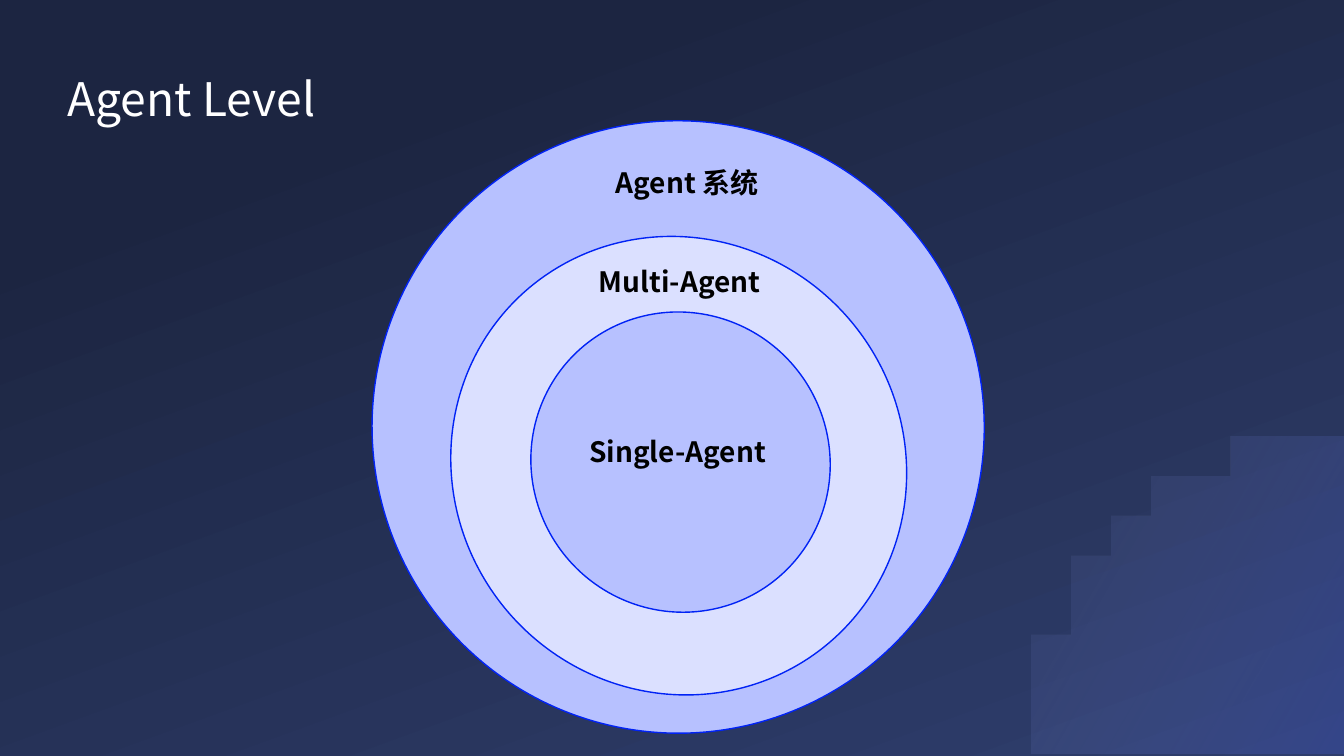
"""Build the Agent Level slide: three nested circles on a dark gradient."""
import math

from lxml import etree
from pptx import Presentation
from pptx import util as u
from pptx.dml.color import RGBColor
from pptx.enum import shapes, text
from pptx.oxml.ns import qn

FONT = "Noto Sans CJK SC"
WHITE = RGBColor(0xFF, 0xFF, 0xFF)
BLACK = RGBColor(0, 0, 0)
NAVY = RGBColor(0x1C, 0x25, 0x41)
SLATE = RGBColor(0x2F, 0x3E, 0x6D)
LILAC = RGBColor(0xB7, 0xC1, 0xFF)
PALE = RGBColor(0xDB, 0xE0, 0xFF)
INDIGO = RGBColor(0x4A, 0x63, 0xFE)
BLUE = RGBColor(0x01, 0x23, 0xF5)

WIDTH, HEIGHT = 33.87, 19.05
TITLE = ("Agent Level", (1.7, 1.47, 30.48, 1.7))
RINGS = [
    ((9.37, 3.05, 15.44, 15.42), LILAC),
    ((11.25, 6.07, 11.71, 11.33), PALE),
    ((13.34, 7.9, 7.62, 7.49), LILAC),
]
LABELS = [
    ("Agent 系统", (12.83, 4.04, 8.97, 1.88), False),
    ("Multi-Agent", (8.66, 6.53, 16.94, 1.12), True),
    ("Single-Agent", (8.61, 10.82, 16.94, 1.12), True),
]
GLOW = (32.87, 17.68, 6.58, 6.5)
GLOW_STEPS = 90


def cm(box):
    return [u.Cm(v) for v in box]


def fill_gradient(sp, angle, stops):
    sp.shadow.inherit = False
    sp.line.fill.background()
    sp.fill.gradient()
    sp.fill.gradient_angle = angle
    for stop, (position, color, opacity) in zip(sp.fill.gradient_stops, stops):
        stop.position = position
        stop.color.rgb = color
    if any(opacity < 100 for _, _, opacity in stops):
        colors = sp._element.spPr.iter(qn("a:srgbClr"))
        for clr, (_, _, opacity) in zip(colors, stops):
            etree.SubElement(clr, qn("a:alpha")).set("val", str(opacity * 1000))


def add_text(s, words, box, size, color, bold=False, wrap=True):
    tf = s.shapes.add_textbox(*cm(box)).text_frame
    tf.text = words
    tf.word_wrap = wrap
    p = tf.paragraphs[0]
    font = p.runs[0].font
    font.name, font.size, font.bold = FONT, u.Pt(size), bold
    font.color.rgb = color
    ea = etree.SubElement(p.runs[0]._r.rPr, qn("a:ea"))
    ea.set("typeface", FONT)
    return tf


def add_glow(s):
    cx, cy, rx, ry = GLOW
    start = math.pi - math.asin((HEIGHT - cy) / ry)
    end = 2 * math.pi - math.acos((WIDTH - cx) / rx)
    angles = [start + (end - start) * i / GLOW_STEPS for i in range(GLOW_STEPS + 1)]
    points = [(cx + rx * math.cos(t), cy + ry * math.sin(t)) for t in angles]
    points.append((WIDTH, HEIGHT))
    builder = s.shapes.build_freeform(*points[0], scale=u.Cm(1))
    builder.add_line_segments(points[1:], close=True)
    fill_gradient(builder.convert_to_shape(), 330, [(0, LILAC, 5), (1, INDIGO, 20)])


def main():
    prs = Presentation()
    prs.slide_width, prs.slide_height = cm((WIDTH, HEIGHT))
    s = prs.slides.add_slide(prs.slide_layouts[6])
    s.background.fill.solid()
    s.background.fill.fore_color.rgb = NAVY

    backdrop = s.shapes.add_shape(
        shapes.MSO_SHAPE.RECTANGLE, 0, 0, prs.slide_width, prs.slide_height)
    fill_gradient(backdrop, 110, [(0, SLATE, 100), (0.8, NAVY, 100)])
    add_glow(s)

    tf = add_text(s, *TITLE, 33, WHITE)
    tf.margin_left = tf.margin_top = tf.margin_right = tf.margin_bottom = 0
    tf.vertical_anchor = text.MSO_ANCHOR.BOTTOM
    tf.paragraphs[0].line_spacing = 1.11

    for box, color in RINGS:
        sp = s.shapes.add_shape(shapes.MSO_SHAPE.OVAL, *cm(box))
        sp.shadow.inherit = False
        sp.rotation = 50
        sp.fill.solid()
        sp.fill.fore_color.rgb = color
        sp.line.color.rgb = BLUE
        sp.line.width = u.Pt(1)

    for words, box, wrap in LABELS:
        tf = add_text(s, words, box, 20, BLACK, bold=True, wrap=wrap)
        tf.paragraphs[0].alignment = text.PP_ALIGN.CENTER
        if wrap:
            tf.auto_size = text.MSO_AUTO_SIZE.SHAPE_TO_FIT_TEXT

    prs.save("out.pptx")


if __name__ == "__main__":
    main()
